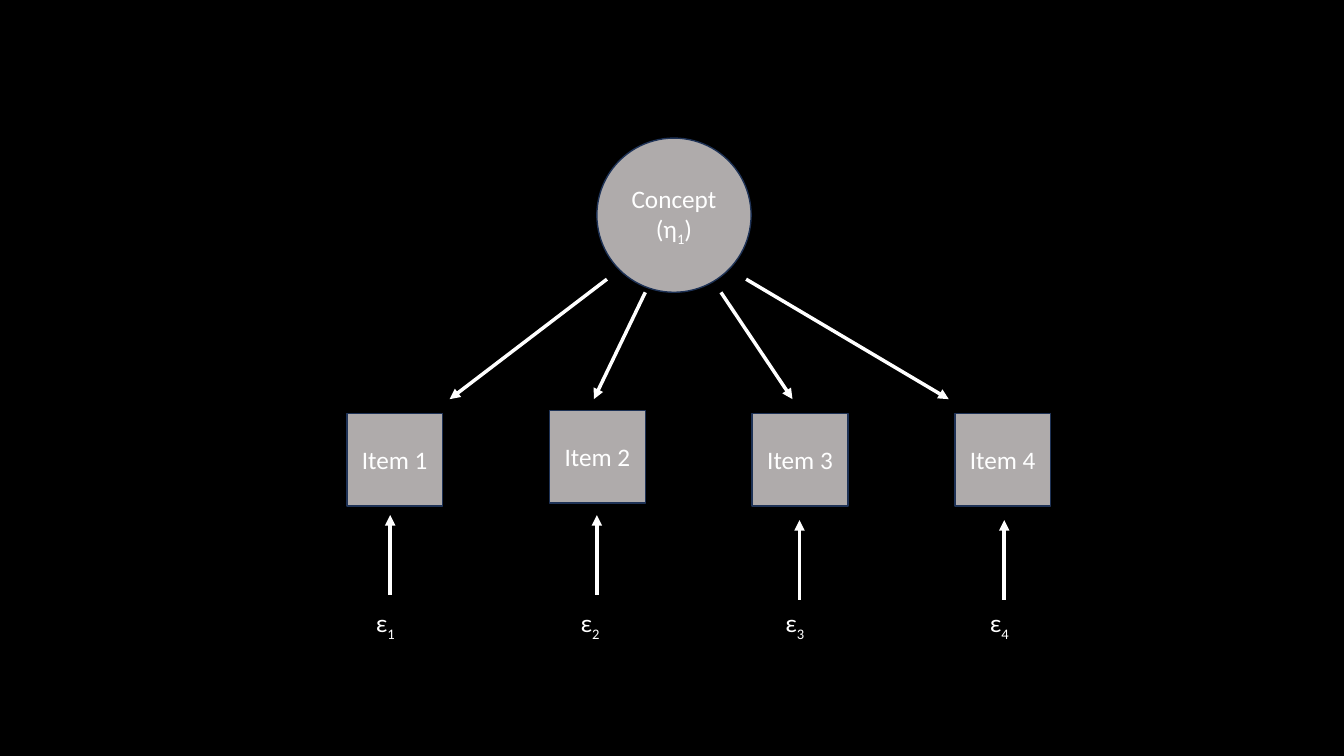
from dataclasses import dataclass

from lxml.etree import SubElement
from pptx import Presentation
from pptx.dml.color import RGBColor
from pptx.enum.shapes import MSO_CONNECTOR, MSO_SHAPE
from pptx.enum.text import MSO_ANCHOR, MSO_AUTO_SIZE, PP_ALIGN
from pptx.oxml.ns import qn
from pptx.shapes.autoshape import Shape
from pptx.slide import Slide
from pptx.text.text import TextFrame
from pptx.util import Emu, Pt

PX = 9144  # 100 px to the inch
FONT = "Calibri"
COLORS = {"background": "000000", "node": "AFABAB", "outline": "1E3256", "light": "FFFFFF"}

CONCEPT_LEFT, CONCEPT_TOP, CONCEPT_SIZE = 592, 137, 153
ITEM_LEFT, ITEM_STEP, ITEM_WIDTH, ITEM_HEIGHT = 344, 201, 95, 92
ERROR_LEFT, ERROR_STEP, ERROR_TOP, ERROR_WIDTH, ERROR_HEIGHT = 363, 203, 598, 49, 40
LOADING_END, ERROR_ARROW_LENGTH = 396, 79


@dataclass(frozen=True)
class Indicator:
    """A measured item with its loading arrow and its error term."""
    number: int
    top: int
    loading_start: tuple[int, int]
    loading_end_x: int
    error_arrow_x: int
    error_arrow_tip: int


INDICATORS = [
    Indicator(1, 410, (602, 277), 446, 387, 511),
    Indicator(2, 407, (640, 290), 589, 592, 511),
    Indicator(3, 410, (715, 290), 786, 793, 516),
    Indicator(4, 410, (740, 277), 941, 996, 516),
]


def px(length: int) -> Emu:
    return Emu(length * PX)


def color(name: str) -> RGBColor:
    return RGBColor.from_string(COLORS[name])


def write(frame: TextFrame, lines: list[list[str]], align: PP_ALIGN) -> None:
    """Write lines of text parts; every second part is a subscript."""
    for index, parts in enumerate(lines):
        paragraph = frame.paragraphs[0] if index == 0 else frame.add_paragraph()
        paragraph.alignment = align
        paragraph.font.size = Pt(18)
        paragraph.font.name = FONT
        paragraph.font.color.rgb = color("light")
        for position, part in enumerate(parts):
            run = paragraph.add_run()
            run.text = part
            if position % 2:
                run._r.get_or_add_rPr().set("baseline", "-25000")


def add_node(slide: Slide, kind: MSO_SHAPE, left: int, top: int,
             width: int, height: int, lines: list[list[str]]) -> Shape:
    node = slide.shapes.add_shape(kind, px(left), px(top), px(width), px(height))
    node.shadow.inherit = False
    node.fill.solid()
    node.fill.fore_color.rgb = color("node")
    node.line.color.rgb = color("outline")
    node.line.width = Pt(1)
    node.text_frame.vertical_anchor = MSO_ANCHOR.MIDDLE
    node.text_frame.word_wrap = True
    write(node.text_frame, lines, PP_ALIGN.CENTER)
    return node


def add_arrow(slide: Slide, start: tuple[int, int], end: tuple[int, int]) -> None:
    arrow = slide.shapes.add_connector(
        MSO_CONNECTOR.STRAIGHT, *(px(value) for value in start + end))
    arrow.line.color.rgb = color("light")
    arrow.line.width = Pt(2.5)
    SubElement(arrow.line._get_or_add_ln(), qn("a:tailEnd"), type="triangle")
    SubElement(arrow._element.spPr, qn("a:effectLst"))


def add_error_term(slide: Slide, left: int, number: int) -> None:
    error_term = slide.shapes.add_textbox(
        px(left), px(ERROR_TOP), px(ERROR_WIDTH), px(ERROR_HEIGHT))
    error_term.text_frame.word_wrap = True
    error_term.text_frame.auto_size = MSO_AUTO_SIZE.SHAPE_TO_FIT_TEXT
    write(error_term.text_frame, [["ε", str(number)]], PP_ALIGN.LEFT)


def main() -> None:
    deck = Presentation()
    deck.slide_width, deck.slide_height = px(1333), px(750)
    slide = deck.slides.add_slide(deck.slide_layouts[6])
    slide.background.fill.solid()
    slide.background.fill.fore_color.rgb = color("background")

    # Latent concept
    add_node(slide, MSO_SHAPE.OVAL, CONCEPT_LEFT, CONCEPT_TOP, CONCEPT_SIZE,
             CONCEPT_SIZE, [["Concept"], ["(η", "1", ")"]])

    # Items with loadings and error terms
    for column, item in enumerate(INDICATORS):
        add_node(slide, MSO_SHAPE.RECTANGLE, ITEM_LEFT + column * ITEM_STEP, item.top,
                 ITEM_WIDTH, ITEM_HEIGHT, [[f"Item {item.number}"]])
        add_arrow(slide, item.loading_start, (item.loading_end_x, LOADING_END))
        add_arrow(slide, (item.error_arrow_x, item.error_arrow_tip + ERROR_ARROW_LENGTH),
                  (item.error_arrow_x, item.error_arrow_tip))
        add_error_term(slide, ERROR_LEFT + column * ERROR_STEP, item.number)

    deck.save("out.pptx")


if __name__ == "__main__":
    main()
